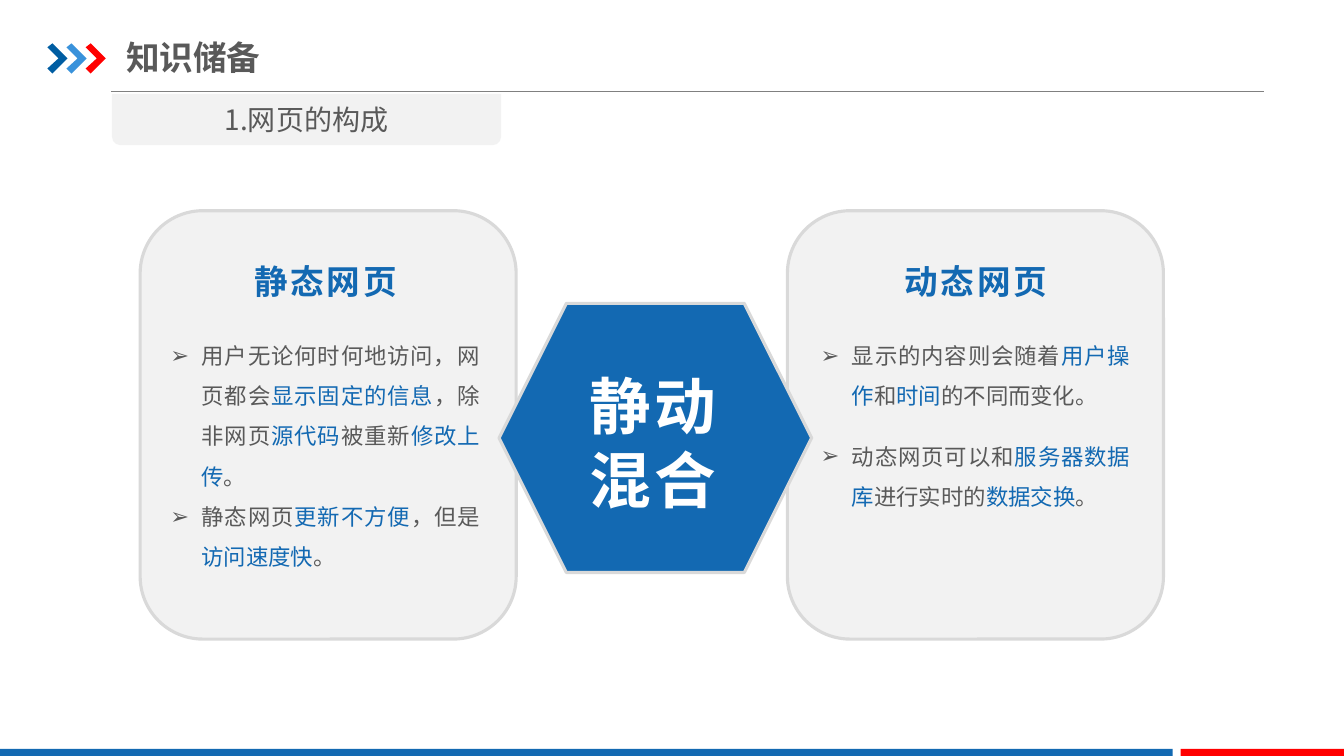
from lxml import etree
from pptx import Presentation
from pptx.dml.color import RGBColor
from pptx.enum.shapes import MSO_CONNECTOR as Link, MSO_SHAPE as Kind
from pptx.enum.text import MSO_ANCHOR as Anchor, MSO_AUTO_SIZE as Fit, PP_ALIGN as Align
from pptx.oxml.ns import qn
from pptx.util import Inches, Pt

FONT = "Noto Sans CJK SC"
HUES = {
    "blue": "1369B2", "navy": "005DA2", "sky": "3992DB", "red": "FF0000",
    "text": "595959", "pale": "F2F2F2", "edge": "D9D9D9", "rule": "808080",
    "white": "FFFFFF",
}
STATIC = [
    "用户无论何时何地访问，网页都会*显示固定的信息*，除非网页*源代码*被重新*修改上传*。",
    "静态网页*更新不方便*，但是*访问速度快*。",
]
DYNAMIC = [
    "显示的内容则会随着*用户操作*和*时间*的不同而变化。",
    "动态网页可以和*服务器数据库*进行实时的*数据交换*。",
]


def color(name):
    return RGBColor.from_string(HUES[name])


def paint(shape, fill, line=None):
    shape.shadow.inherit = False
    shape.fill.solid()
    shape.fill.fore_color.rgb = color(fill)
    if line:
        shape.line.color.rgb = color(line)
        shape.line.width = Pt(2.25)
    else:
        shape.line.fill.background()


def add_form(slide, kind, box, fill, line=None):
    shape = slide.shapes.add_shape(kind, *map(Inches, box))
    paint(shape, fill, line)
    return shape


def style(run, size, hue, bold=False, gap=0):
    font = run.font
    font.size, font.bold, font.name = Pt(size), bold, FONT
    font.color.rgb = color(hue)
    props = run._r.get_or_add_rPr()
    if gap:
        props.set("spc", str(gap * 100))
    etree.SubElement(props, qn("a:ea")).set("typeface", FONT)


def place(shape, box, wrap=True, anchor=Anchor.MIDDLE):
    """Move a text shape to the box, in front of all others."""
    shape.left, shape.top, shape.width, shape.height = map(Inches, box)
    tree = shape.element.getparent()
    tree.append(shape.element)
    frame = shape.text_frame
    frame.auto_size = Fit.NONE
    frame.word_wrap = wrap
    frame.vertical_anchor = anchor
    return frame


def write(frame, text, size, hue, align=Align.LEFT, bold=False, gap=0, pitch=None):
    frame.text = text
    for para in frame.paragraphs:
        para.alignment = align
        para.space_before = Pt(0)
        if pitch:
            para.line_spacing = Pt(pitch)
        for run in para.runs:
            style(run, size, hue, bold, gap)


def add_label(slide, box, text, size, hue, wrap=True, **look):
    shape = slide.shapes.add_textbox(*map(Inches, box))
    write(place(shape, box, wrap), text, size, hue, **look)


def fill_list(frame, items, space):
    """Write bulleted items; text between stars is blue."""
    for i, item in enumerate(items):
        para = frame.paragraphs[0] if i == 0 else frame.add_paragraph()
        props = para._p.get_or_add_pPr()
        props.set("marL", str(Inches(0.31)))
        props.set("indent", str(-Inches(0.31)))
        etree.SubElement(props, qn("a:buChar")).set("char", "➢")
        para.alignment = Align.JUSTIFY
        para.line_spacing = Pt(28.75)
        para.space_before = Pt(space if i else 0)
        for k, part in enumerate(item.split("*")):
            run = para.add_run()
            run.text = part
            style(run, 16, "blue" if k % 2 else "text")


def add_header(slide, x, y):
    rule = slide.shapes.add_connector(
        Link.STRAIGHT, *map(Inches, (x + 0.63, y + 0.48, x + 12.07, y + 0.48)))
    rule.line.color.rgb = color("rule")
    rule.line.width = Pt(0.75)
    etree.SubElement(rule.element.spPr, qn("a:effectLst"))
    marks = [(0, 0.04), (0.05, 0), (0.2, 0.15), (0.05, 0.3), (0, 0.25), (0.11, 0.15)]
    for i, hue in enumerate(("navy", "sky", "red")):
        left = x + 0.19 * i
        dots = [(Inches(left + dx), Inches(y + dy)) for dx, dy in marks]
        pen = slide.shapes.build_freeform(*dots[0])
        pen.add_line_segments(dots[1:], close=True)
        paint(pen.convert_to_shape(), hue)
    frame = place(slide.shapes.title, (x + 0.78, y - 0.14, 4.26, 0.55))
    frame.margin_left = frame.margin_right = 0
    write(frame, "知识储备", 24, "text", bold=True)


def add_tab(slide, x, y, w, h):
    tab = add_form(slide, Kind.ROUND_2_SAME_RECTANGLE, (x, y, w, h), "pale")
    tab.rotation = 180
    add_label(slide, (x, y + 0.03, w, 0.44), "1.网页的构成", 20, "text", align=Align.CENTER)


def add_panel(slide, x, y, pad, head, body, title, items, space=0):
    add_form(slide, Kind.ROUNDED_RECTANGLE, (x, y, 3.73, 4.25), "pale", "edge")
    frame = place(body, (x + pad, y + 1.12, 3.27, 2.52), anchor=Anchor.TOP)
    fill_list(frame, items, space)
    frame = place(head, (x + pad + 0.83, y + 0.44, 1.66, 0.51), wrap=False)
    write(frame, title, 24, "blue", bold=True, gap=2)


def add_core(slide, x, y, w, h):
    add_form(slide, Kind.HEXAGON, (x, y, w, h), "blue", "edge")
    add_label(slide, (x + 0.8, y + 0.58, 1.49, 1.58), "静动\n混合", 44, "white",
              wrap=False, bold=True, gap=2, pitch=53)


def add_footer(slide, y):
    for x, w, hue in ((0, 11.63, "blue"), (11.71, 1.62, "red")):
        add_form(slide, Kind.RECTANGLE, (x, y, w, 7.5 - y), hue)


def main():
    deck = Presentation()
    deck.slide_width, deck.slide_height = Inches(13.33), Inches(7.5)
    slide = deck.slides.add_slide(deck.slide_layouts.get_by_name("Comparison"))
    slots = {slot.placeholder_format.idx: slot for slot in slide.placeholders}
    add_header(slide, 0.47, 0.43)
    add_footer(slide, 7.43)
    add_tab(slide, 1.11, 0.93, 3.86, 0.51)
    add_panel(slide, 7.81, 2.09, 0.23, slots[3], slots[4], "动态网页", DYNAMIC, 14.5)
    add_panel(slide, 1.39, 2.09, 0.2, slots[1], slots[2], "静态网页", STATIC)
    add_core(slide, 4.95, 3.01, 3.1, 2.67)
    deck.save("out.pptx")


if __name__ == "__main__":
    main()
